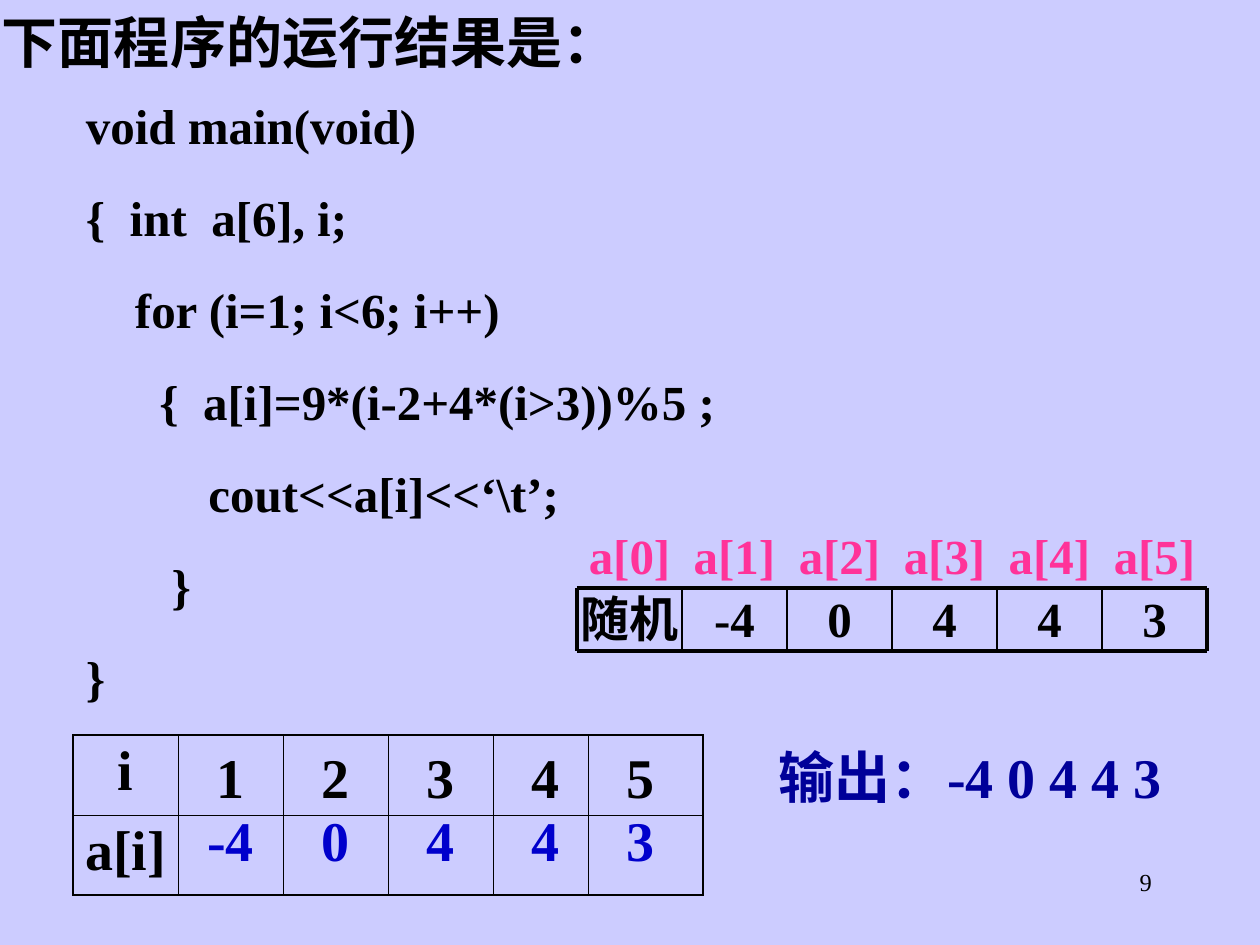
from lxml import etree
from pptx import Presentation
from pptx.dml.color import RGBColor
from pptx.enum.shapes import MSO_CONNECTOR as MC
from pptx.enum.text import MSO_ANCHOR as MA, MSO_AUTO_SIZE as AUTO, PP_ALIGN as AL
from pptx.oxml import parse_xml
from pptx.oxml.ns import nsdecls, qn
from pptx.util import Pt

PX = 914400 / 126


def px(*values):
    return [round(v * PX) for v in values]


def write(tf, lines, size, color="000000", align=AL.LEFT, before=0, spacing=None,
          bold=True, margins=(2, 1, 2, 1)):
    tf.word_wrap = True
    tf.auto_size = AUTO.NONE
    tf.vertical_anchor = MA.TOP
    tf.margin_left, tf.margin_top, tf.margin_right, tf.margin_bottom = px(*margins)
    for n, line in enumerate(lines):
        p = tf.add_paragraph() if n else tf.paragraphs[0]
        p.alignment = align
        p.space_before = Pt(before)
        if spacing:
            p.line_spacing = spacing
        r = p.add_run()
        r.text = line
        r.font.name = "Times New Roman"
        r.font.size = Pt(size)
        r.font.bold = bold
        r.font.color.rgb = RGBColor.from_string(color)


prs = Presentation()
prs.slide_width, prs.slide_height = px(1260, 945)
s = prs.slides.add_slide(prs.slide_layouts[5])
s.background.fill.solid()
s.background.fill.fore_color.rgb = RGBColor.from_string("CCCCFF")

title = s.shapes.title
title.left, title.top, title.width, title.height = px(0, 0, 1260, 77)
write(title.text_frame, ["下面程序的运行结果是："], 32, before=20, spacing=1.1)

number = s.shapes.add_textbox(*px(903, 861, 262, 63))
write(number.text_frame, ["9"], 14, align=AL.RIGHT, bold=False, margins=(13, 6, 13, 6))

code = [
    (0, "void main(void)"),
    (0, "{  int  a[6], i;"),
    (4, "for (i=1; i<6; i++)"),
    (6, "{  a[i]=9*(i-2+4*(i>3))%5 ;"),
    (10, "cout<<a[i]<<‘\\t’;"),
    (7, "}"),
    (0, "}"),
]
listing = s.shapes.add_textbox(*px(84, 94, 714, 599))
tf = listing.text_frame
write(tf, [line for _, line in code], 28, before=19)
for p, (indent, _) in zip(tf.paragraphs, code):
    pPr = p._p.get_or_add_pPr()
    pPr.set("marL", str(Pt(7 * indent)))
    pPr.set("indent", "0")

widths = [105, 105, 105, 105, 95, 115]
frame = s.shapes.add_table(2, 6, *px(73, 735, sum(widths), 160))
table = frame.table
table.first_row = table.horz_banding = False
for col, width in zip(table.columns, widths):
    col.width = px(width)[0]
for row in table.rows:
    row.height = px(80)[0]
for i in range(2):
    for j in range(6):
        cell = table.cell(i, j)
        cell.fill.background()
        outer = {"L": j == 0, "R": j == 5, "T": i == 0, "B": i == 1}
        tcPr = cell._tc.get_or_add_tcPr()
        for n, (side, thick) in enumerate(outer.items()):
            tcPr.insert(n, parse_xml(
                f'<a:ln{side} {nsdecls("a")} w="{Pt(1.08 if thick else 0.45)}">'
                '<a:solidFill><a:srgbClr val="000000"/></a:solidFill>'
                f'</a:ln{side}>'))
for i, head in enumerate(["i", "a[i]"]):
    cell = table.cell(i, 0)
    write(cell.text_frame, [head], 32, align=AL.CENTER, before=8)
    cell.margin_left, cell.margin_top, cell.margin_right, cell.margin_bottom = px(2, 6, 2, 6)

values = ["随机", "-4", "0", "4", "4", "3"]
for i, value in enumerate(values):
    for top, text, color in [(588, value, "000000"), (525, f"a[{i}]", "FF3399")]:
        box = s.shapes.add_textbox(*px(577 + 105 * i, top, 105, 63))
        write(box.text_frame, [text], 28, color, AL.CENTER, before=7)

rules = [(577, y, 1207, y, 2.25) for y in (588, 651)]
rules += [(577 + 105 * i, 588, 577 + 105 * i, 651, 2.25 if i in (0, 6) else 1)
          for i in range(7)]
for *ends, weight in rules:
    line = s.shapes.add_connector(MC.STRAIGHT, *px(*ends))
    line.line.width = Pt(weight)
    line.line.color.rgb = RGBColor.from_string("000000")
    etree.SubElement(line._element.spPr, qn("a:effectLst"))

output = s.shapes.add_textbox(*px(777, 735, 431, 77))
write(output.text_frame, ["输出：-4 0 4 4 3"], 32, "000099", before=20, spacing=1.1)

lefts = [199, 304, 409, 514, 609]
for i, (left, value) in enumerate(zip(lefts, values[1:]), 1):
    for top, text, color in [(735, str(i), "000000"), (798, value, "0000CC")]:
        box = s.shapes.add_textbox(*px(left, top, 63, 77))
        write(box.text_frame, [text], 32, color, AL.CENTER, before=20, spacing=1.1)

prs.save("out.pptx")
